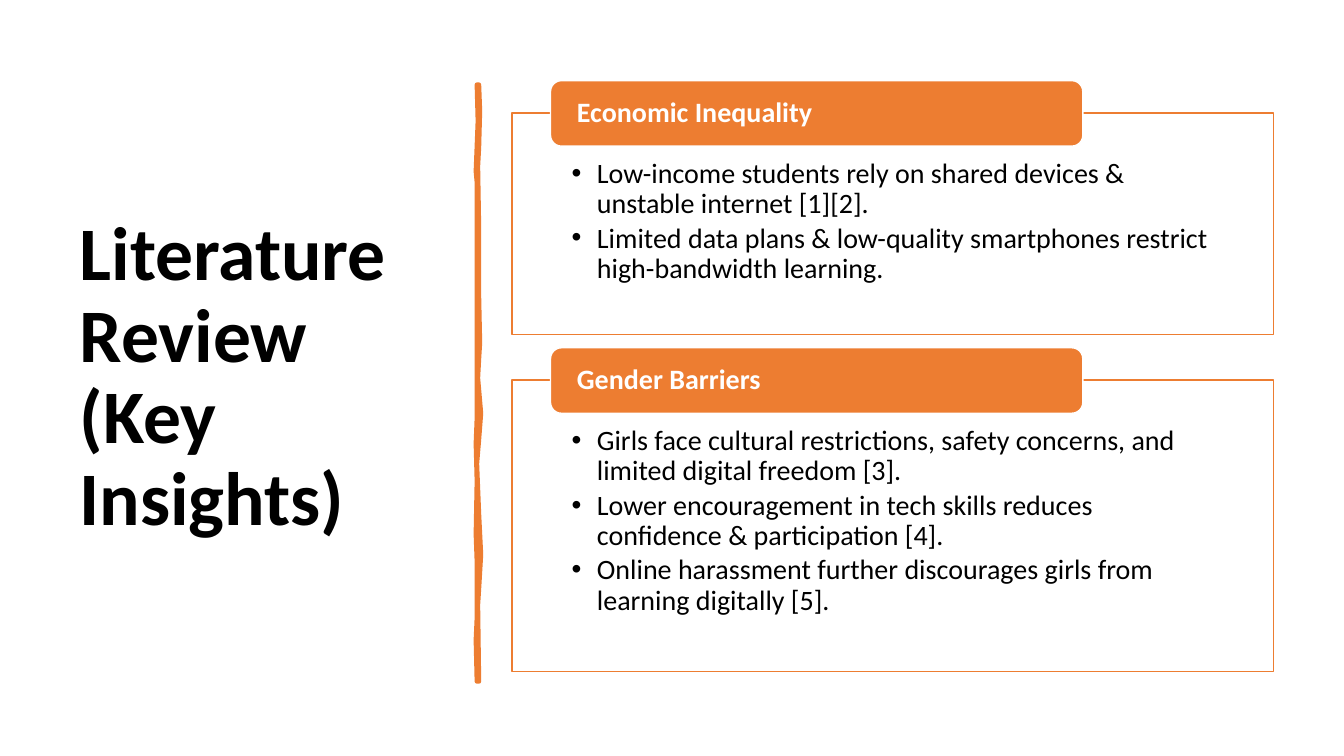
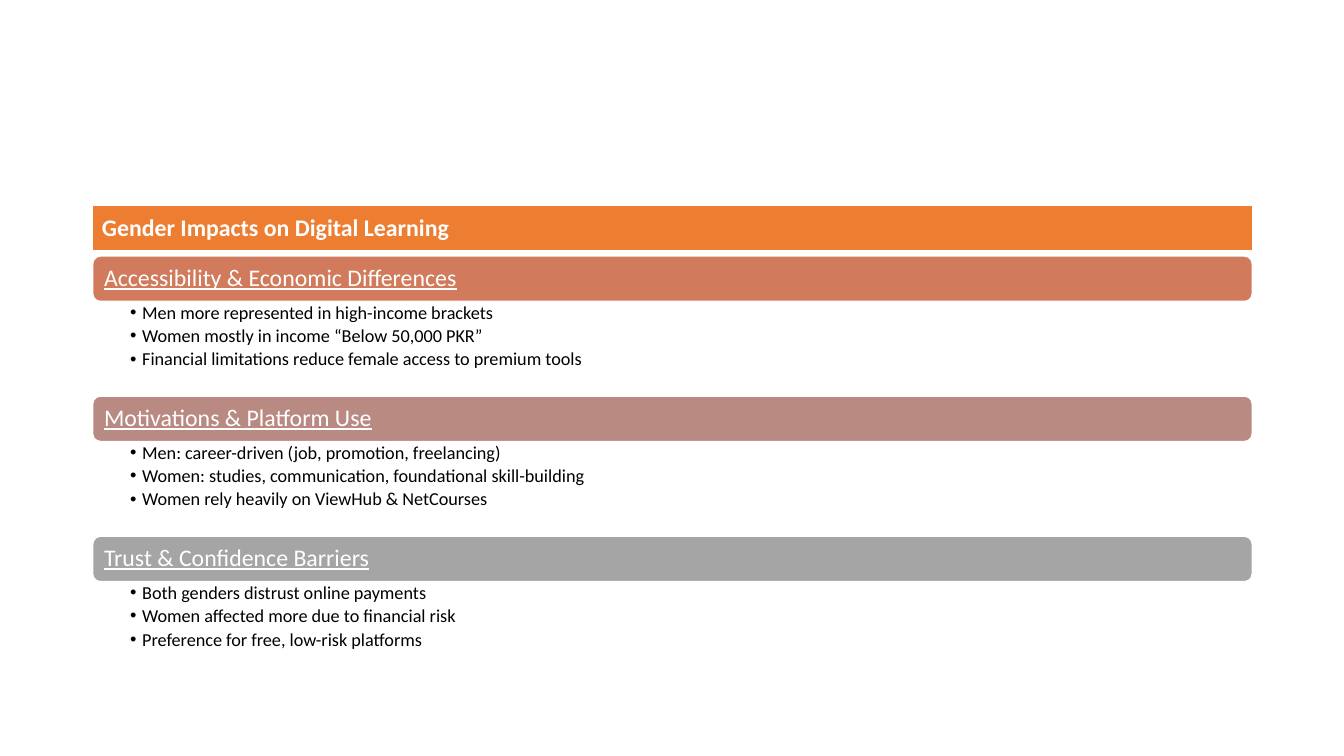
from pptx import Presentation
from pptx.dml.color import RGBColor
from pptx.enum.shapes import MSO_SHAPE
from pptx.enum.text import MSO_ANCHOR, MSO_AUTO_SIZE, PP_ALIGN
from pptx.oxml import parse_xml
from pptx.oxml.ns import nsdecls
from pptx.util import Inches, Pt

FONT = "Calibri"
ORANGE, WHITE, BLACK = "ED7D31", "FFFFFF", "000000"
TITLE_ONLY_COLUMNS, COMPARISON = 3, 4

INSIGHTS = [
    ("Economic Inequality", 2.2, [
        "Low-income students rely on shared devices & unstable internet [1][2].",
        "Limited data plans & low-quality smartphones restrict high-bandwidth learning.",
    ]),
    ("Gender Barriers", 2.89, [
        "Girls face cultural restrictions, safety concerns, and limited digital freedom [3].",
        "Lower encouragement in tech skills reduces confidence & participation [4].",
        "Online harassment further discourages girls from learning digitally [5].",
    ]),
]

IMPACTS = [
    ("Accessibility & Economic Differences", "D17B5C", [
        "Men more represented in high-income brackets",
        "Women mostly in income “Below 50,000 PKR”",
        "Financial limitations reduce female access to premium tools",
    ]),
    ("Motivations & Platform Use", "B98A82", [
        "Men: career-driven (job, promotion, freelancing)",
        "Women: studies, communication, foundational skill-building",
        "Women rely heavily on ViewHub & NetCourses",
    ]),
    ("Trust & Confidence Barriers", "A5A5A5", [
        "Both genders distrust online payments",
        "Women affected more due to financial risk",
        "Preference for free, low-risk platforms",
    ]),
]

DIVIDER_RIGHT = [
    (4.75, 0.84), (4.76, 1.1), (4.75, 1.46), (4.74, 1.65), (4.75, 2.26),
    (4.75, 2.94), (4.76, 3.4), (4.75, 3.56), (4.74, 3.75), (4.77, 4.1),
    (4.75, 4.36), (4.73, 4.6), (4.75, 5.1), (4.77, 5.5), (4.75, 5.84),
    (4.74, 6), (4.75, 6.76),
]
DIVIDER_LEFT = [
    (4.73, 6.76), (4.72, 6.35), (4.73, 6.13), (4.73, 5.57), (4.72, 5.3),
    (4.73, 4.77), (4.72, 4.4), (4.73, 4.15), (4.73, 1.81), (4.72, 1.7),
    (4.74, 1.2), (4.73, 0.84),
]


def color(value):
    return RGBColor.from_string(value)


def place(shape, left, top, width, height):
    shape.left, shape.top = Inches(left), Inches(top)
    shape.width, shape.height = Inches(width), Inches(height)


def paint(shape, fill, line, weight=1):
    shape.fill.solid()
    shape.fill.fore_color.rgb = color(fill)
    shape.line.color.rgb = color(line)
    shape.line.width = Pt(weight)


def set_frame(shape, margins, anchor):
    frame = shape.text_frame
    frame.word_wrap = True
    frame.auto_size = MSO_AUTO_SIZE.NONE
    frame.vertical_anchor = anchor
    (frame.margin_left, frame.margin_top,
     frame.margin_right, frame.margin_bottom) = map(Inches, margins)
    return frame


def format_paragraph(paragraph, size, text_color, bold=False, underline=False, after=0):
    paragraph.alignment = PP_ALIGN.LEFT
    paragraph.line_spacing = 0.9
    paragraph.space_before = Pt(0)
    paragraph.space_after = Pt(after)
    for run in paragraph.runs:
        font = run.font
        font.name, font.size = FONT, Pt(size)
        font.bold, font.underline = bold, underline
        font.color.rgb = color(text_color)


def set_text(shape, text, size, text_color, margins, bold=False, underline=False):
    frame = set_frame(shape, margins, MSO_ANCHOR.MIDDLE)
    frame.text = text
    format_paragraph(frame.paragraphs[0], size, text_color, bold, underline)


def set_list(shape, items, size, indent, margins, after):
    frame = set_frame(shape, margins, MSO_ANCHOR.TOP)
    frame.text = "\n".join(items)
    for paragraph in frame.paragraphs:
        properties = paragraph._p.get_or_add_pPr()
        properties.set("marL", str(Inches(indent)))
        properties.set("indent", str(-Inches(indent)))
        properties.append(parse_xml(f'<a:buFont {nsdecls("a")} typeface="Arial"/>'))
        properties.append(parse_xml(f'<a:buChar {nsdecls("a")} char="•"/>'))
        format_paragraph(paragraph, size, BLACK, after=after)


def add_bar(slide, box, fill):
    bar = slide.shapes.add_shape(MSO_SHAPE.ROUNDED_RECTANGLE, *map(Inches, box))
    bar.shadow.inherit = False
    paint(bar, fill, WHITE)
    return bar


def round_corners(shape):
    shape.element.spPr.append(parse_xml(
        f'<a:prstGeom {nsdecls("a")} prst="roundRect"><a:avLst/></a:prstGeom>'))


def add_divider(slide):
    start, *points = [(Inches(x), Inches(y)) for x, y in DIVIDER_RIGHT + DIVIDER_LEFT]
    builder = slide.shapes.build_freeform(*start)
    builder.add_line_segments(points, close=True)
    divider = builder.convert_to_shape()
    divider.shadow.inherit = False
    paint(divider, ORANGE, ORANGE, 3.25)


def add_slide(presentation, layout):
    slide = presentation.slides.add_slide(presentation.slide_layouts[layout])
    title, *bodies = slide.placeholders
    return slide, title, bodies


def build_insights(presentation):
    slide, title, bodies = add_slide(presentation, TITLE_ONLY_COLUMNS)
    place(title, 0.69, 0.7, 3.74, 6.11)
    set_text(title, "Literature Review (Key Insights)", 54, BLACK,
             (0.1, 0.05, 0.1, 0.05), bold=True)
    add_divider(slide)
    top = 1.12
    for body, (heading, height, items) in zip(bodies, INSIGHTS):
        place(body, 5.08, top, 7.55, height)
        paint(body, WHITE, ORANGE)
        set_list(body, items, 20, 0.25, (0.59, 0.46, 0.59, 0.16), after=3)
        bar = add_bar(slide, (5.46, top - 0.32, 5.28, 0.65), ORANGE)
        set_text(bar, heading, 20, WHITE, (0.23, 0, 0.23, 0), bold=True)
        top += height + 0.45


def build_impacts(presentation):
    slide, title, bodies = add_slide(presentation, COMPARISON)
    left, width, bar_height, list_height = 0.92, 11.5, 0.45, 0.94
    margins = (0.09, 0.07, 0.09, 0.07)
    place(title, left, 2.04, width, bar_height)
    round_corners(title)
    paint(title, ORANGE, WHITE)
    set_text(title, "Gender Impacts on Digital Learning", 17, WHITE, margins, bold=True)
    top = 2.54
    for body, (heading, fill, items) in zip(bodies, IMPACTS):
        bar = add_bar(slide, (left, top, width, bar_height), fill)
        set_text(bar, heading, 17, WHITE, margins, underline=True)
        place(body, left, top + bar_height, width, list_height)
        set_list(body, items, 13, 0.12, (0.37, 0.02, 0.13, 0.02), after=2.6)
        top += bar_height + list_height
    for spare in bodies[len(IMPACTS):]:
        spare.element.getparent().remove(spare.element)


def main():
    presentation = Presentation()
    presentation.slide_width = Inches(13.33)
    presentation.slide_height = Inches(7.5)
    build_insights(presentation)
    build_impacts(presentation)
    presentation.save("out.pptx")


if __name__ == "__main__":
    main()
